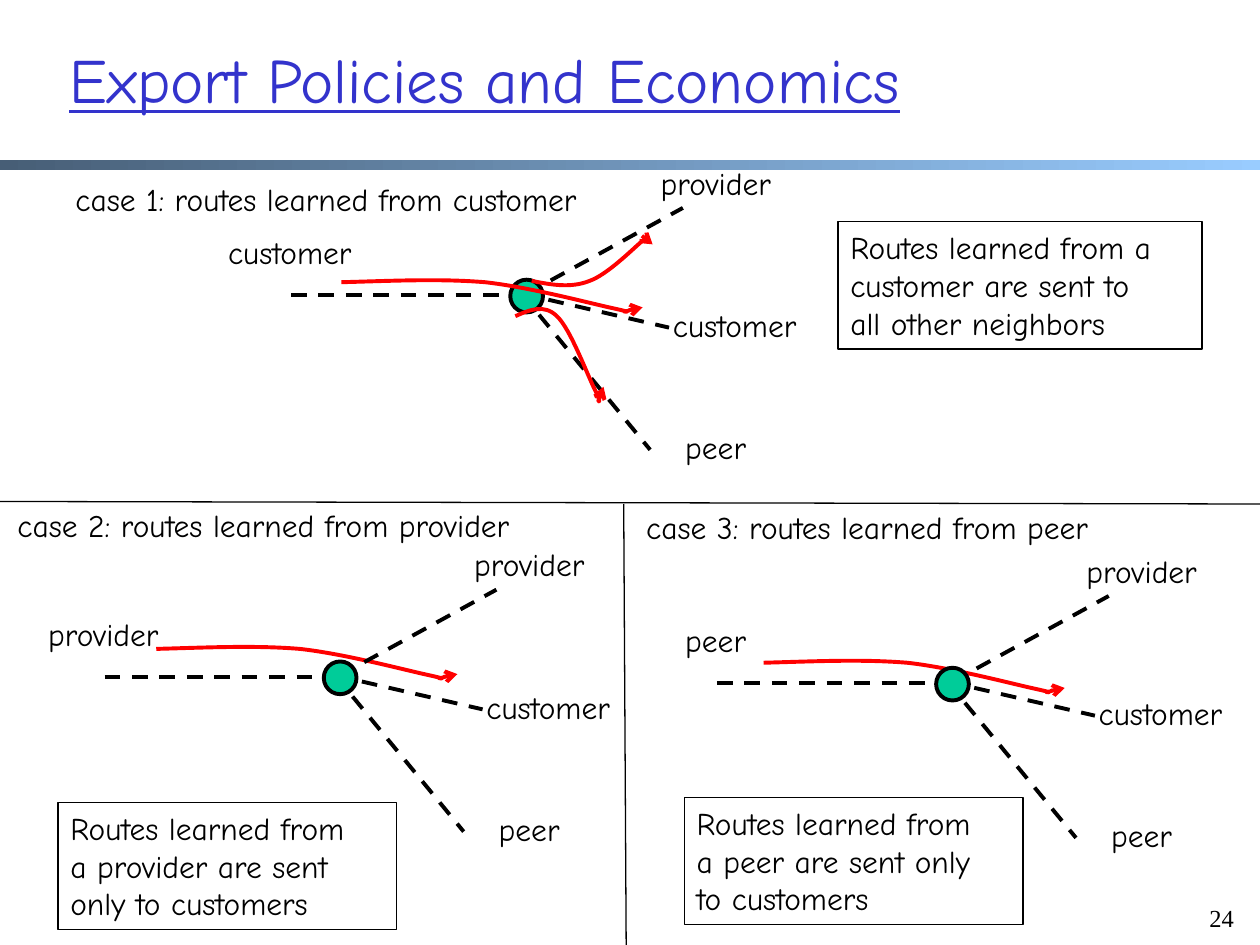
from lxml.etree import SubElement
from pptx import Presentation
from pptx.dml.color import RGBColor
from pptx.enum.dml import MSO_LINE as Dash
from pptx.enum.shapes import MSO_CONNECTOR as Link, MSO_SHAPE as Shape
from pptx.enum.text import MSO_ANCHOR as Anchor, PP_ALIGN as Align
from pptx.oxml.ns import qn
from pptx.util import Inches, Pt

BLACK = RGBColor(0x00, 0x00, 0x00)
RED = RGBColor(0xFF, 0x00, 0x00)
GREEN = RGBColor(0x00, 0xCC, 0x99)
BLUE = RGBColor(0x33, 0x33, 0xCC)
SLATE = RGBColor(0x47, 0x5E, 0x76)
SKY = RGBColor(0x99, 0xCC, 0xFF)
FONT = "Comic Neue"
THICK, THIN = 2.25, 0.75

# Spokes run from near the node; names are centred on (x, top). Offsets from the node.
SPOKES = [
    ((-1.87, -0.01), (0.03, -0.01)),
    ((0, -0.02), (1.24, -0.7)),
    ((-0.04, -0.02), (1.13, 0.25)),
    ((-0.04, -0.02), (0.98, 1.22)),
]
NAMES = [("provider", 1.5, -1.1), ("customer", 1.65, 0.03), ("peer", 1.5, 1)]
SOURCE = (-1.88, -0.55)
WIDTHS = {"provider": 1.18, "customer": 1.28, "peer": 0.73}

# Bezier segments (two controls and an end), as offsets from the route's start.
ACROSS = [
    (0.39, -0.01), (0.77, -0.03), (1.14, 0),
    (1.5, 0.04), (1.98, 0.17), (2.17, 0.21),
    (2.35, 0.25), (2.21, 0.23), (2.25, 0.23),
    (2.28, 0.23), (2.29, 0.21), (2.39, 0.2),
]
UPWARD = [
    (0.15, 0.03), (0.31, 0.06), (0.46, 0),
    (0.6, -0.05), (0.8, -0.25), (0.87, -0.31),
    (0.95, -0.37), (0.89, -0.35), (0.91, -0.34),
    (0.92, -0.34), (0.92, -0.32), (0.96, -0.29),
]
DOWNWARD = [
    (0.11, -0.05), (0.23, -0.1), (0.33, 0),
    (0.44, 0.1), (0.58, 0.49), (0.64, 0.6),
    (0.69, 0.71), (0.65, 0.67), (0.66, 0.67),
    (0.67, 0.66), (0.67, 0.61), (0.7, 0.56),
]


def style(font, size=18, color=BLACK, name=FONT):
    font.size, font.name = Pt(size), name
    font.color.rgb = color


def fill_text(frame, text, wrap=True, align=Align.LEFT, **look):
    frame.text = text
    frame.word_wrap = wrap
    para = frame.paragraphs[0]
    para.alignment = align
    for run in para.runs:
        style(run.font, **look)


def add_text(slide, text, x, y, w, h=0.4, **look):
    box = slide.shapes.add_textbox(Inches(x), Inches(y), Inches(w), Inches(h))
    fill_text(box.text_frame, text, **look)


def add_line(slide, start, end, width=THIN, dash=None):
    line = slide.shapes.add_connector(
        Link.STRAIGHT, *(Inches(v) for v in (*start, *end)))
    line.line.color.rgb = BLACK
    line.line.width = Pt(width)
    if dash:
        line.line.dash_style = dash
    SubElement(line._element.spPr, qn("a:effectLst"))


def add_route(slide, x, y, dots):
    """Draw a red arrow along Bezier segments that start at (x, y)."""
    pen = slide.shapes.build_freeform(Inches(x), Inches(y))
    pen.add_line_segments(
        [(Inches(x + dx), Inches(y + dy)) for dx, dy in dots], close=False)
    route = pen.convert_to_shape()
    outline = next(route._element.iter(qn("a:path")))
    steps = outline.findall(qn("a:lnTo"))
    for i, step in enumerate(steps):
        if i % 3 == 0:
            curve = SubElement(outline, qn("a:cubicBezTo"))
        curve.append(step[0])
        outline.remove(step)
    route.shadow.inherit = False
    route.fill.background()
    route.line.color.rgb = RED
    route.line.width = Pt(THICK)
    SubElement(route.line._get_or_add_ln(), qn("a:tailEnd"), type="arrow")


def add_star(slide, x, y, source):
    """Draw a node centred at (x, y) with its spokes and neighbour names."""
    for (ax, ay), (bx, by) in SPOKES:
        add_line(slide, (x + ax, y + ay), (x + bx, y + by), THICK, Dash.DASH)
    for text, dx, dy in [(source, *SOURCE), *NAMES]:
        w = WIDTHS[text]
        add_text(slide, text, x + dx - w / 2, y + dy, w,
                 wrap=False, align=Align.CENTER)
    size = 0.26
    node = slide.shapes.add_shape(
        Shape.OVAL, Inches(x - size / 2), Inches(y - size / 2),
        Inches(size), Inches(size))
    node.shadow.inherit = False
    node.fill.solid()
    node.fill.fore_color.rgb = GREEN
    node.line.color.rgb = BLACK
    node.line.width = Pt(THICK)


def add_rule(slide, text, x, y, w):
    """Draw the framed export rule of a case."""
    box = slide.shapes.add_shape(
        Shape.RECTANGLE, Inches(x), Inches(y), Inches(w), Inches(1.01))
    box.shadow.inherit = False
    box.fill.background()
    box.line.color.rgb = BLACK
    box.line.width = Pt(THIN)
    box.text_frame.vertical_anchor = Anchor.TOP
    fill_text(box.text_frame, text)


def add_header(slide):
    bar = slide.shapes.add_shape(
        Shape.RECTANGLE, 0, Inches(1.27), Inches(10), Inches(0.08))
    bar.shadow.inherit = False
    bar.line.fill.background()
    bar.fill.gradient()
    bar.fill.gradient_angle = 0
    for stop, color, spot in zip(bar.fill.gradient_stops, (SLATE, SKY), (0, 1)):
        stop.color.rgb = color
        stop.position = spot
    title = slide.shapes.title
    title.left, title.top = Inches(0.45), 0
    title.width, title.height = Inches(8.5), Inches(1.25)
    title.text_frame.vertical_anchor = Anchor.MIDDLE
    fill_text(title.text_frame, "Export Policies and Economics",
              size=36, color=BLUE)
    title.text_frame.paragraphs[0].runs[0].font.underline = True


def add_case_one(slide, x, y):
    add_star(slide, x, y, "customer")
    add_route(slide, x - 1.47, y - 0.11, ACROSS)
    add_route(slide, x + 0.04, y - 0.12, UPWARD)
    add_route(slide, x - 0.09, y + 0.16, DOWNWARD)
    add_text(slide, "case 1: routes learned from customer", 0.5, 1.38, 4.56)
    add_rule(slide, "Routes learned from a \vcustomer are sent to\v"
             "all other neighbors", 6.65, 1.76, 2.89)


def add_case(slide, x, y, source, route, head, rule):
    """Draw a case whose routes reach customers only."""
    add_route(slide, *route, ACROSS)
    add_star(slide, x, y, source)
    add_text(slide, *head)
    add_rule(slide, *rule, 2.69)


def main():
    deck = Presentation()
    deck.slide_width, deck.slide_height = Inches(10), Inches(7.5)
    slide = deck.slides.add_slide(deck.slide_layouts[5])
    add_header(slide)
    add_case_one(slide, 4.18, 2.35)
    add_case(slide, 2.7, 5.38, "provider", (1.24, 5.15),
             ("case 2: routes learned from provider", 0.04, 3.97, 4.5),
             ("Routes learned from \va provider are sent\vonly to customers",
              0.46, 6.37))
    add_case(slide, 7.56, 5.43, "peer", (6.06, 5.26),
             ("case 3: routes learned from peer", 5.03, 3.98, 4.05),
             ("Routes learned from \va peer are sent only \vto customers",
              5.43, 6.33))
    add_line(slide, (0, 3.98), (10, 4))
    add_line(slide, (4.95, 4), (4.97, 7.5))
    add_text(slide, "24", 9.5, 7.12, 0.5, 0.5, size=14, name="Times New Roman")
    deck.save("out.pptx")


if __name__ == "__main__":
    main()
